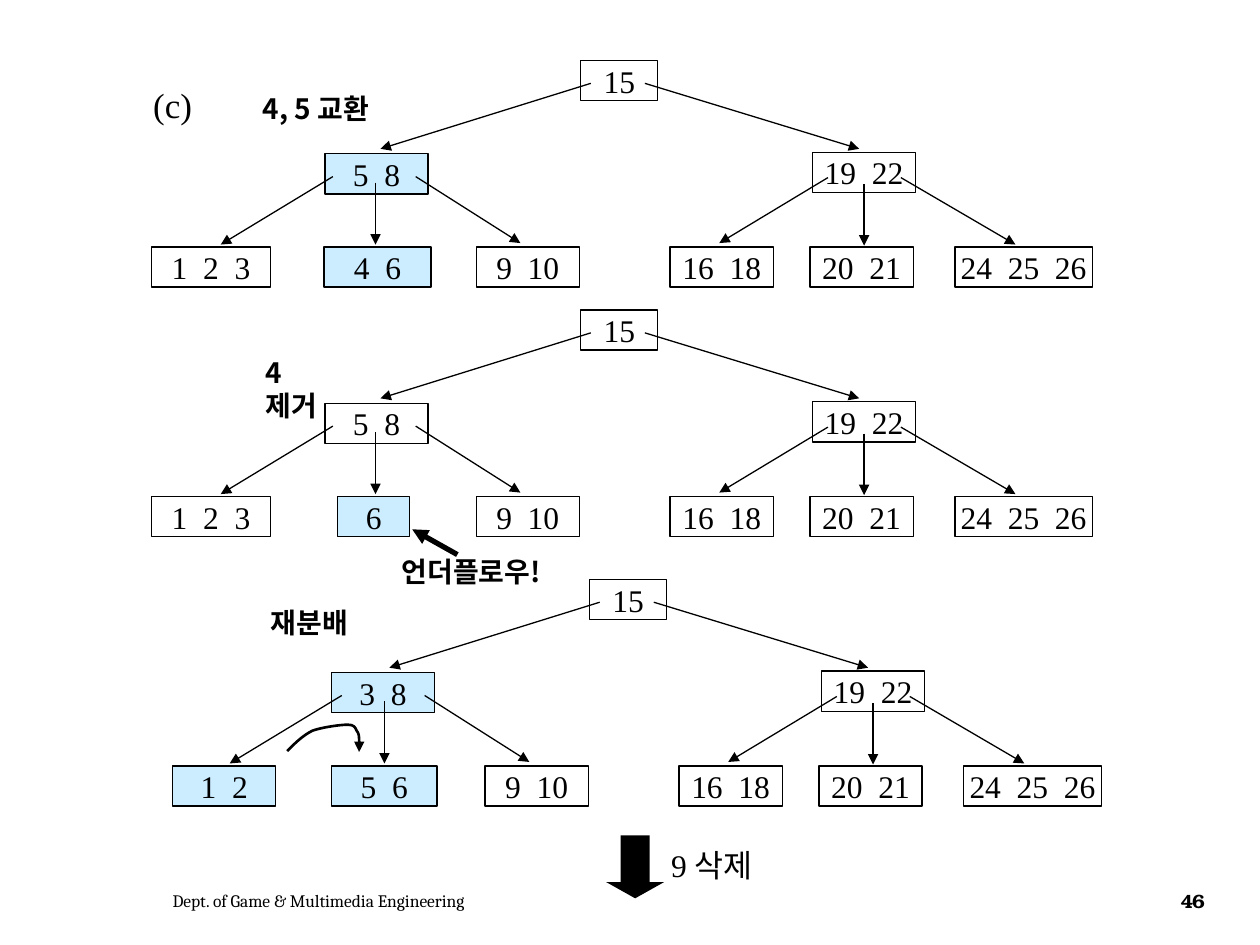
from lxml.etree import SubElement
from pptx import Presentation
from pptx.dml.color import RGBColor
from pptx.enum.shapes import MSO_CONNECTOR as Connector, MSO_SHAPE as Shape
from pptx.enum.text import MSO_ANCHOR as Anchor, MSO_AUTO_SIZE as AutoSize, PP_ALIGN as Align
from pptx.oxml.ns import qn
from pptx.util import Cm, Pt

COLORS = {"ink": "000000", "changed": "CCECFF"}
SERIF, KOREAN = "Times New Roman", "Noto Sans CJK KR"
NODE = {"name": SERIF, "size": Pt(18)}
LABEL = {"name": KOREAN, "size": Pt(16), "bold": True}
NODE_HEIGHT = 0.81
ROOT_TOP, LEFT_TOP, RIGHT_TOP, LEAF_TOP = 1.22, 3.10, 3.07, 4.98

# Nodes shared by all trees: text, left, top, width (cm)
FIXED_NODES = [
    ("15", 11.71, ROOT_TOP, 1.55),
    ("19  22", 16.38, RIGHT_TOP, 2.08),
    ("9  10", 9.60, LEAF_TOP, 2.08),
    ("16  18", 13.51, LEAF_TOP, 2.08),
    ("20  21", 16.33, LEAF_TOP, 2.08),
    ("24  25  26", 19.25, LEAF_TOP, 2.77),
]
# Branches shared by all trees: start x, start y, end x, end y (cm)
BRANCHES = [
    (11.91, 1.68, 7.67, 3.00), (13.00, 1.68, 17.32, 3.00),
    (6.71, 3.56, 4.45, 4.93), (7.57, 3.68, 7.57, 4.93), (8.38, 3.56, 10.49, 4.90),
    (16.69, 3.58, 14.50, 4.90), (17.42, 3.71, 17.42, 4.95), (18.16, 3.58, 20.47, 4.93),
]
# Each step: tree offset x, y and its own nodes (text, left, top, width, fill)
STEPS = [
    (0, 0, [("5  8", 6.55, LEFT_TOP, 2.08, "changed"),
            ("1  2  3", 3.05, LEAF_TOP, 2.41, None),
            ("4  6", 6.53, LEAF_TOP, 2.16, "changed")]),
    (0, 5.03, [("5  8", 6.55, LEFT_TOP, 2.08, None),
               ("1  2  3", 3.05, LEAF_TOP, 2.41, None),
               ("6", 6.81, LEAF_TOP, 1.45, "changed")]),
    (0.18, 10.46, [("3  8", 6.50, LEFT_TOP, 2.08, "changed"),
                   ("1  2", 3.30, LEAF_TOP, 2.08, "changed"),
                   ("5  6", 6.50, LEAF_TOP, 2.13, "changed")]),
]
# Key moving between leaves: start point, then three points per curve (cm)
MOVE_CURVE = [
    (5.79, 15.14),
    (5.94, 14.99), (6.10, 14.83), (6.30, 14.73),
    (6.50, 14.66), (6.86, 14.61), (7.01, 14.61),
    (7.14, 14.61), (7.16, 14.66), (7.19, 14.73),
    (7.24, 14.78), (7.24, 14.86), (7.24, 14.94),
    (7.26, 15.01), (7.24, 15.09), (7.24, 15.16),
]


def color(name):
    return RGBColor.from_string(COLORS[name])


def add_run(paragraph, text, formats):
    run = paragraph.add_run()
    run.text = text
    run.font.color.rgb = color("ink")
    for name, value in formats.items():
        setattr(run.font, name, value)
    SubElement(run.font._element, qn("a:ea"), typeface=formats["name"])
    return run


def style_line(shape, width, arrow=False):
    shape.line.color.rgb = color("ink")
    shape.line.width = Pt(width)
    if arrow:
        SubElement(shape.line._get_or_add_ln(), qn("a:tailEnd"), type="triangle")


def add_node(slide, text, left, top, width, fill=None):
    shape = slide.shapes.add_shape(
        Shape.RECTANGLE, Cm(left), Cm(top), Cm(width), Cm(NODE_HEIGHT))
    shape.shadow.inherit = False
    if fill:
        shape.fill.solid()
        shape.fill.fore_color.rgb = color(fill)
    else:
        shape.fill.background()
    style_line(shape, 0.75)
    frame = shape.text_frame
    frame.word_wrap = False
    frame.vertical_anchor = Anchor.MIDDLE
    frame.paragraphs[0].alignment = Align.CENTER
    add_run(frame.paragraphs[0], text, NODE)


def add_arrow(slide, start_x, start_y, end_x, end_y, width=0.75):
    connector = slide.shapes.add_connector(
        Connector.STRAIGHT, Cm(start_x), Cm(start_y), Cm(end_x), Cm(end_y))
    style_line(connector, width, arrow=True)
    SubElement(connector._element.spPr, qn("a:effectLst"))


def add_tree(slide, shift_x, shift_y, own_nodes):
    for text, left, top, width, *fill in FIXED_NODES + own_nodes:
        add_node(slide, text, left + shift_x, top + shift_y, width, *fill)
    for start_x, start_y, end_x, end_y in BRANCHES:
        add_arrow(slide, start_x + shift_x, start_y + shift_y,
                  end_x + shift_x, end_y + shift_y)


def add_label(slide, left, top, width, height, *runs, wrap=False):
    box = slide.shapes.add_textbox(Cm(left), Cm(top), Cm(width), Cm(height))
    box.text_frame.auto_size = AutoSize.SHAPE_TO_FIT_TEXT
    box.text_frame.word_wrap = wrap
    for text, formats in runs:
        add_run(box.text_frame.paragraphs[0], text, formats)
    return box


def add_footer(slide, left, width, text, formats, alignment):
    box = slide.shapes.add_textbox(Cm(left), Cm(17.65), Cm(width), Cm(1.02))
    frame = box.text_frame
    frame.word_wrap = True
    frame.vertical_anchor = Anchor.MIDDLE
    frame.paragraphs[0].alignment = alignment
    return add_run(frame.paragraphs[0], text, formats)


def add_curved_arrow(slide, points):
    start, *rest = [(Cm(x), Cm(y)) for x, y in points]
    builder = slide.shapes.build_freeform(*start)
    builder.add_line_segments(rest, close=False)
    shape = builder.convert_to_shape()
    shape.shadow.inherit = False
    shape.fill.background()
    style_line(shape, 1.5, arrow=True)
    # Turn every three straight segments into one cubic curve
    segments = list(shape._element.iter(qn("a:lnTo")))
    outline = segments[0].getparent()
    for first in range(0, len(segments), 3):
        curve = SubElement(outline, qn("a:cubicBezTo"))
        for segment in segments[first:first + 3]:
            curve.append(segment[0])
            outline.remove(segment)


def add_down_arrow(slide):
    shape = slide.shapes.add_shape(
        Shape.DOWN_ARROW, Cm(12.22), Cm(16.84), Cm(1.17), Cm(1.27))
    shape.adjustments[1] = 0.28
    shape.shadow.inherit = False
    shape.fill.solid()
    shape.fill.fore_color.rgb = color("ink")
    shape.line.fill.background()


def main():
    presentation = Presentation()
    presentation.slide_width, presentation.slide_height = Cm(25.4), Cm(19.05)
    slide = presentation.slides.add_slide(presentation.slide_layouts[6])

    # Trees, one per step
    for step in STEPS:
        add_tree(slide, *step)

    # Step labels
    add_label(slide, 2.84, 1.55, 1.30, 1.09, ("(c)", {"name": SERIF, "size": Pt(20)}))
    add_label(slide, 5.05, 1.73, 2.82, 0.94, ("4, 5 교환", LABEL))
    removal = add_label(slide, 5.11, 7.04, 2.13, 0.94, ("4 제거", LABEL), wrap=True)
    removal.text_frame.margin_right = Cm(0.6)
    add_label(slide, 5.21, 12.09, 2.18, 0.94, ("재분배", LABEL))

    # Underflow and redistribution marks
    add_label(slide, 7.85, 11.05, 3.48, 0.94, ("언더플로우!", LABEL))
    add_arrow(slide, 9.22, 11.18, 8.31, 10.67, width=3)
    add_curved_arrow(slide, MOVE_CURVE)

    # Next operation
    add_down_arrow(slide)
    add_label(slide, 13.28, 16.94, 2.31, 1.02,
              ("9 ", NODE), ("삭제", {"name": KOREAN, "size": Pt(18)}))

    # Footer
    add_footer(slide, 3.23, 11.66, "Dept. of Game & Multimedia Engineering",
               {"name": "Cambria", "size": Pt(10)}, Align.LEFT)
    number = add_footer(slide, 23.37, 1.35, "46",
                        {"name": "TeX Gyre Bonum", "size": Pt(11), "bold": True},
                        Align.CENTER)
    number.font._element.set("spc", "-70")

    presentation.save("out.pptx")


if __name__ == "__main__":
    main()
